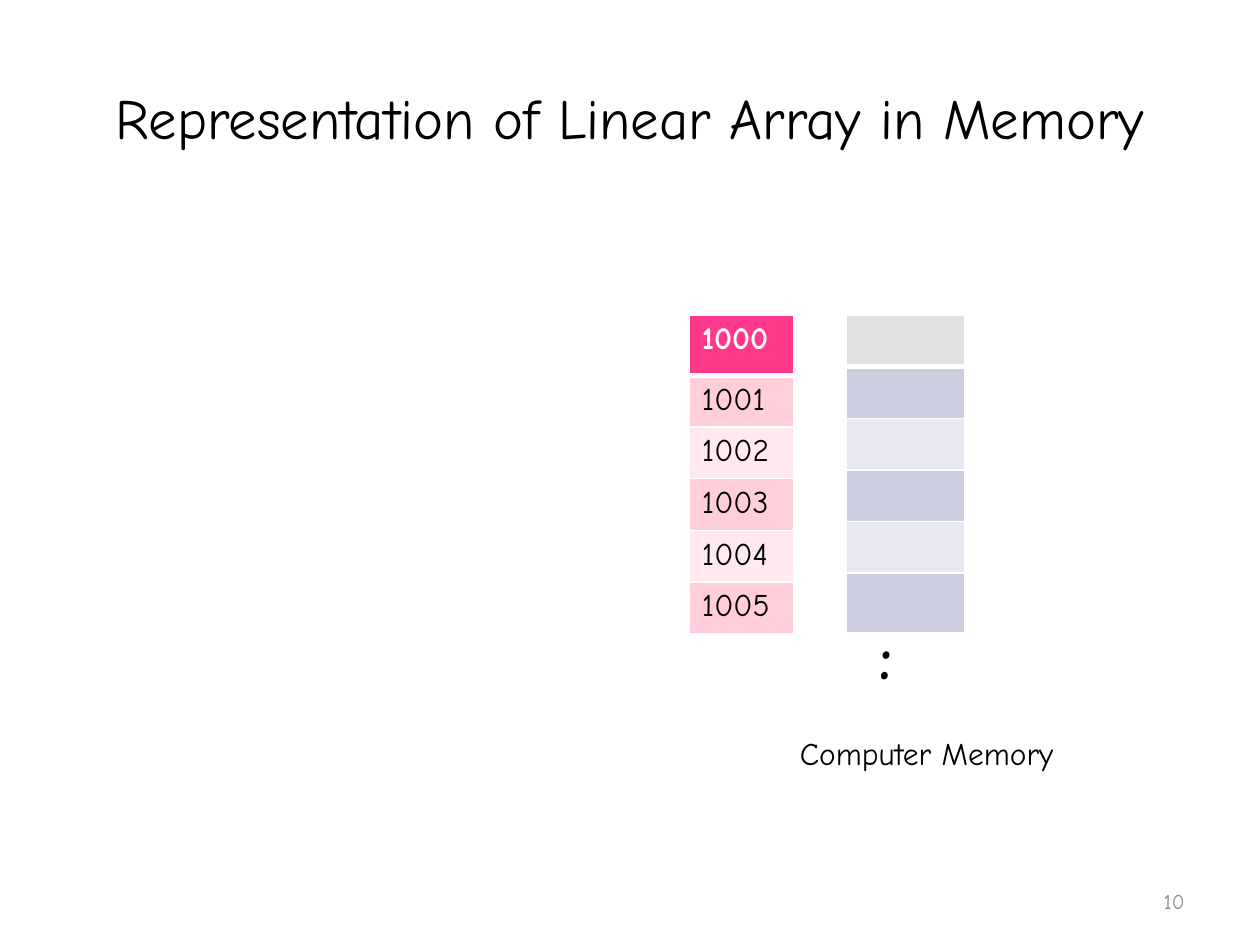
from lxml.etree import SubElement
from pptx import Presentation
from pptx.dml.color import RGBColor
from pptx.enum.text import MSO_ANCHOR, PP_ALIGN
from pptx.oxml.ns import qn
from pptx.util import Inches, Pt


def color(hex_value):
    return RGBColor.from_string(hex_value)


class Deck:
    font = "Comic Neue"
    ink = "000000"
    border = "FFFFFF"

    def __init__(self, width, height):
        self.presentation = Presentation()
        self.presentation.slide_width = Inches(width)
        self.presentation.slide_height = Inches(height)
        self.slide = self.presentation.slides.add_slide(self.presentation.slide_layouts[5])

    def add_text(self, frame, text, size, ink=None, bold=False, align=PP_ALIGN.LEFT):
        paragraph = frame.paragraphs[0]
        paragraph.alignment = align
        run = paragraph.add_run()
        run.text = text
        run.font.name = self.font
        run.font.size = Pt(size)
        run.font.bold = bold
        run.font.color.rgb = color(ink or self.ink)

    def title(self, text, left, top, width, height, size):
        heading = self.slide.shapes.title
        heading.left, heading.top = Inches(left), Inches(top)
        heading.width, heading.height = Inches(width), Inches(height)
        heading.text_frame.vertical_anchor = MSO_ANCHOR.MIDDLE
        self.add_text(heading.text_frame, text, size, align=PP_ALIGN.CENTER)

    def label(self, text, left, top, width, height, size, anchor=MSO_ANCHOR.TOP, **style):
        box = self.slide.shapes.add_textbox(
            Inches(left), Inches(top), Inches(width), Inches(height))
        box.text_frame.word_wrap = True
        box.text_frame.vertical_anchor = anchor
        self.add_text(box.text_frame, text, size, **style)

    def outline(self, cell, bottom):
        properties = cell._tc.get_or_add_tcPr()
        for index, (side, points) in enumerate(
                [("lnL", 1), ("lnR", 1), ("lnT", 1), ("lnB", bottom)]):
            line = properties.makeelement(qn("a:" + side), {"w": str(Pt(points))})
            fill = SubElement(line, qn("a:solidFill"))
            SubElement(fill, qn("a:srgbClr"), val=self.border)
            properties.insert(index, line)

    def column(self, texts, left, top, width, heights, head_fill, band_fills):
        table = self.slide.shapes.add_table(
            len(texts), 1, Inches(left), Inches(top),
            Inches(width), Inches(sum(heights))).table
        table.columns[0].width = Inches(width)
        for index, (text, height) in enumerate(zip(texts, heights)):
            head = index == 0
            table.rows[index].height = Inches(height)
            cell = table.cell(index, 0)
            cell.fill.solid()
            cell.fill.fore_color.rgb = color(head_fill if head else band_fills[(index - 1) % 2])
            self.outline(cell, 3 if head else 1)
            if text:
                self.add_text(cell.text_frame, text, 18, "FFFFFF" if head else self.ink, head)

    def save(self):
        self.presentation.save("out.pptx")


deck = Deck(10, 7.5)
deck.title("Representation of Linear Array in Memory", 0.5, 0.3, 9, 1.25, 32.4)

row_height = 0.41
addresses = [str(1000 + offset) for offset in range(6)]
deck.column([""] * 6, 6.72, 2.5, 0.94, [row_height] * 5 + [0.47],
            "E0E0E0", ["CCCEDF", "E7E8F0"])
deck.label("10", 7.17, 6.95, 2.33, 0.4, 12, MSO_ANCHOR.MIDDLE,
           ink="8C8C8C", align=PP_ALIGN.RIGHT)
deck.column(addresses, 5.47, 2.5, 0.83, [0.48] + [row_height] * 5,
            "FF388C", ["FFCEDA", "FFE8EE"])
deck.label("Computer Memory", 6.25, 5.78, 2.81, 0.4, 18)
deck.label(":", 6.88, 4.84, 1.72, 0.71, 36, bold=True)
deck.save()
